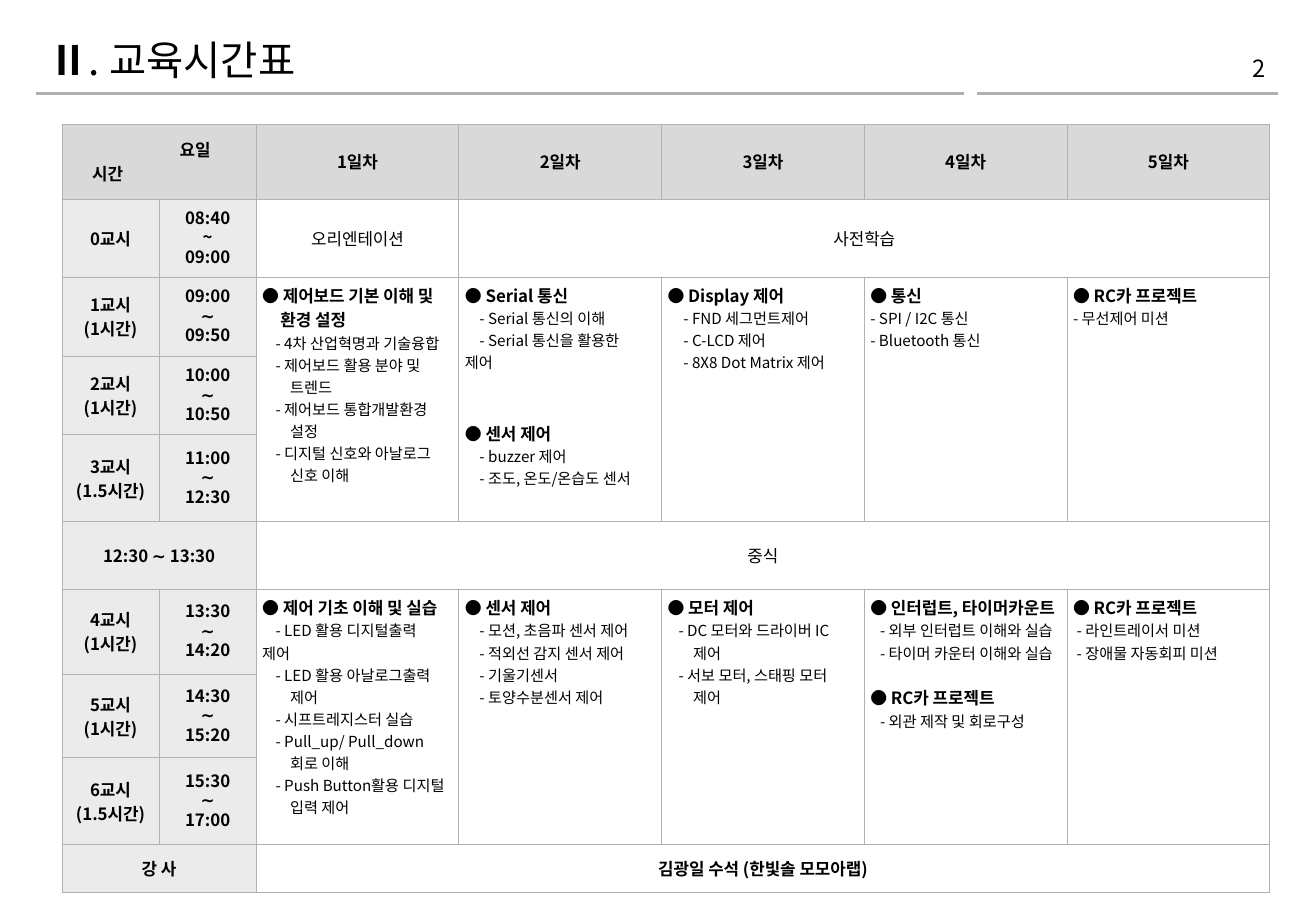
from copy import deepcopy
from lxml.etree import SubElement
from pptx import Presentation
from pptx.dml.color import RGBColor
from pptx.enum.shapes import MSO_CONNECTOR
from pptx.enum.text import MSO_ANCHOR, PP_ALIGN
from pptx.oxml.ns import qn
from pptx.util import Inches, Pt

FONT = "Noto Sans CJK KR"
BLACK = RGBColor(0x00, 0x00, 0x00)
RULE_GRAY = RGBColor(0xAE, 0xAE, 0xAE)
HEAD_GRAY = RGBColor(0xD9, 0xD9, 0xD9)
BORDER_GRAY = "B2B2B2"

TITLE = ("Ⅱ", ". 교육시간표")
PAGE = "2"
RULES = [(0.3, 7.94), (8.05, 10.53)]
RULE_Y = 0.77

COLS = [0.8] * 2 + [1.67] * 5
ROWS = [0.62, 0.64, 0.65, 0.65, 0.71, 0.56, 0.7, 0.69, 0.71, 0.4]
CORNER = [("요일", 0.87), ("시간", 0.15)]
DAYS = ["1일차", "2일차", "3일차", "4일차", "5일차"]
PERIODS = {
    1: ("0교시", "08:40\v~\v09:00"),
    2: ("1교시\n(1시간)", "09:00\v∼\v09:50"),
    3: ("2교시\n(1시간)", "10:00\v∼\v10:50"),
    4: ("3교시\n(1.5시간)", "11:00\v∼\v12:30"),
    6: ("4교시\n(1시간)", "13:30\v∼\v14:20"),
    7: ("5교시\n(1시간)", "14:30\v∼\v15:20"),
    8: ("6교시\n(1.5시간)", "15:30\v∼\v17:00"),
}
SIDE_BANDS = {5: "12:30 ∼ 13:30", 9: "강 사"}
WIDE_CELLS = [
    (1, 2, 2, "오리엔테이션", False),
    (1, 3, 6, "사전학습", False),
    (5, 2, 6, "중식", False),
    (9, 2, 6, "김광일 수석 (한빛솔 모모아랩)", True),
]
LESSONS = {
    2: [
        (0.11, 0, [("제어보드 기본 이해 및\v환경 설정", [
            "4차 산업혁명과 기술융합", "제어보드 활용 분야 및\v트렌드",
            "제어보드 통합개발환경\v설정", "디지털 신호와 아날로그\v신호 이해"])]),
        (0.12, 28, [("Serial 통신", ["Serial 통신의 이해", "Serial 통신을 활용한\n제어"]),
                    ("센서 제어", ["buzzer 제어", "조도, 온도/온습도 센서"])]),
        (0.13, 0, [("Display 제어", ["FND 세그먼트제어", "C-LCD 제어", "8X8 Dot Matrix 제어"])]),
        (0, 0, [("통신", ["SPI / I2C 통신", "Bluetooth 통신"])]),
        (0, 0, [("RC카 프로젝트", ["무선제어 미션"])]),
    ],
    6: [
        (0.11, 0, [("제어 기초 이해 및 실습", [
            "LED 활용 디지털출력\n제어", "LED 활용 아날로그출력\v제어", "시프트레지스터 실습",
            "Pull_up/ Pull_down\v회로 이해", "Push Button활용 디지털\v입력 제어"])]),
        (0.12, 0, [("센서 제어", ["모션, 초음파 센서 제어", "적외선 감지 센서 제어",
                              "기울기센서", "토양수분센서 제어"])]),
        (0.09, 0, [("모터 제어", ["DC 모터와 드라이버 IC\v제어", "서보 모터, 스태핑 모터\v제어"])]),
        (0.08, 13, [("인터럽트, 타이머카운트", ["외부 인터럽트 이해와 실습", "타이머 카운터 이해와 실습"]),
                    ("RC카 프로젝트", ["외관 제작 및 회로구성"])]),
        (0.03, 0, [("RC카 프로젝트", ["라인트레이서 미션", "장애물 자동회피 미션"])]),
    ],
}


def style(p, size, bold=False):
    for r in p.runs:
        r.font.size, r.font.bold, r.font.name = Pt(size), bold, FONT
        r.font.color.rgb = BLACK
        SubElement(r._r.rPr, qn("a:ea"), typeface=FONT)
    for br in p._p.findall(qn("a:br")):
        br.append(deepcopy(p.runs[0]._r.rPr))


def set_indent(p, left, first):
    pPr = p._p.get_or_add_pPr()
    pPr.set("marL", str(Inches(left)))
    pPr.set("indent", str(Inches(first - left)))


def paragraphs(tf, count):
    return [tf.paragraphs[0]] + [tf.add_paragraph() for _ in range(count - 1)]


def format_cell(cell):
    cell.fill.background()
    cell.vertical_anchor = MSO_ANCHOR.MIDDLE
    tcPr = cell._tc.get_or_add_tcPr()
    for i, side in enumerate(("a:lnL", "a:lnR", "a:lnT", "a:lnB")):
        ln = tcPr.makeelement(qn(side), {"w": str(Pt(0.45))})
        SubElement(SubElement(ln, qn("a:solidFill")), qn("a:srgbClr"), val=BORDER_GRAY)
        tcPr.insert(i, ln)


def shade(cell, alpha=None):
    cell.fill.solid()
    cell.fill.fore_color.rgb = HEAD_GRAY
    if alpha:
        color = cell._tc.tcPr.find(qn("a:solidFill")).find(qn("a:srgbClr"))
        SubElement(color, qn("a:alpha"), val=str(alpha * 1000))


def write_centered(cell, text, bold=True, spacing=None):
    cell.text_frame.text = text
    for p in cell.text_frame.paragraphs:
        p.alignment = PP_ALIGN.CENTER
        if spacing:
            p.line_spacing = spacing
        style(p, 10, bold)


def write_lessons(cell, indent, gap, topics):
    cell.vertical_anchor = MSO_ANCHOR.TOP
    cell.margin_left = cell.margin_right = Inches(0.05)
    lines = []
    for heading, items in topics:
        lines.append(("● " + heading, 0, 0.15, 10, True))
        lines += [("- " + item, indent, indent + 0.12, 9, False) for item in items]
    for i, (p, line) in enumerate(zip(paragraphs(cell.text_frame, len(lines)), lines)):
        text, first, hang, size, bold = line
        p.text = text
        set_indent(p, hang if "\v" in text else 0, first)
        if bold and i:
            p.space_before = Pt(gap)
        style(p, size, bold)


def add_label(s, left, top, width, height, parts, size, align):
    tf = s.shapes.add_textbox(*map(Inches, (left, top, width, height))).text_frame
    tf.word_wrap = True
    tf.vertical_anchor = MSO_ANCHOR.MIDDLE
    p = tf.paragraphs[0]
    p.alignment = align
    for part in parts:
        p.add_run().text = part
    style(p, size)
    return p


def build_timetable(s):
    frame = s.shapes.add_table(len(ROWS), len(COLS), Inches(0.51), Inches(1.02),
                               Inches(sum(COLS)), Inches(sum(ROWS)))
    table = frame.table
    table.first_row = table.horz_banding = False
    for col, width in zip(table.columns, COLS):
        col.width = Inches(width)
    for row, height in zip(table.rows, ROWS):
        row.height = Inches(height)
    for cell in table.iter_cells():
        format_cell(cell)

    corner = table.cell(0, 0)
    corner.merge(table.cell(0, 1))
    shade(corner)
    for p, (text, left) in zip(paragraphs(corner.text_frame, len(CORNER)), CORNER):
        p.text = text
        set_indent(p, left, left)
        style(p, 10, True)
    for c, day in enumerate(DAYS, 2):
        shade(table.cell(0, c))
        write_centered(table.cell(0, c), day)

    for r, (period, hours) in PERIODS.items():
        for c, text, spacing in ((0, period, None), (1, hours, 0.8)):
            shade(table.cell(r, c), 50)
            write_centered(table.cell(r, c), text, True, spacing)
    for r, text in SIDE_BANDS.items():
        table.cell(r, 0).merge(table.cell(r, 1))
        shade(table.cell(r, 0), 50)
        write_centered(table.cell(r, 0), text)
    for r, start, end, text, bold in WIDE_CELLS:
        if end > start:
            table.cell(r, start).merge(table.cell(r, end))
        write_centered(table.cell(r, start), text, bold)
    for r, blocks in LESSONS.items():
        for c, block in enumerate(blocks, 2):
            table.cell(r, c).merge(table.cell(r + 2, c))
            write_lessons(table.cell(r, c), *block)


def main():
    prs = Presentation()
    prs.slide_width, prs.slide_height = Inches(10.84), Inches(7.5)
    s = prs.slides.add_slide(prs.slide_layouts[6])
    for x1, x2 in RULES:
        rule = s.shapes.add_connector(MSO_CONNECTOR.STRAIGHT, Inches(x1), Inches(RULE_Y),
                                      Inches(x2), Inches(RULE_Y))
        rule.line.color.rgb = RULE_GRAY
        rule.line.width = Pt(2)
        SubElement(rule._element.spPr, qn("a:effectLst"))
    add_label(s, 9.98, 0.36, 0.54, 0.4, [PAGE], 14, PP_ALIGN.RIGHT)
    title = add_label(s, 0.3, 0.21, 7.52, 0.56, TITLE, 24, PP_ALIGN.LEFT)
    title.runs[0].font.bold = True
    build_timetable(s)
    prs.save("out.pptx")


if __name__ == "__main__":
    main()
